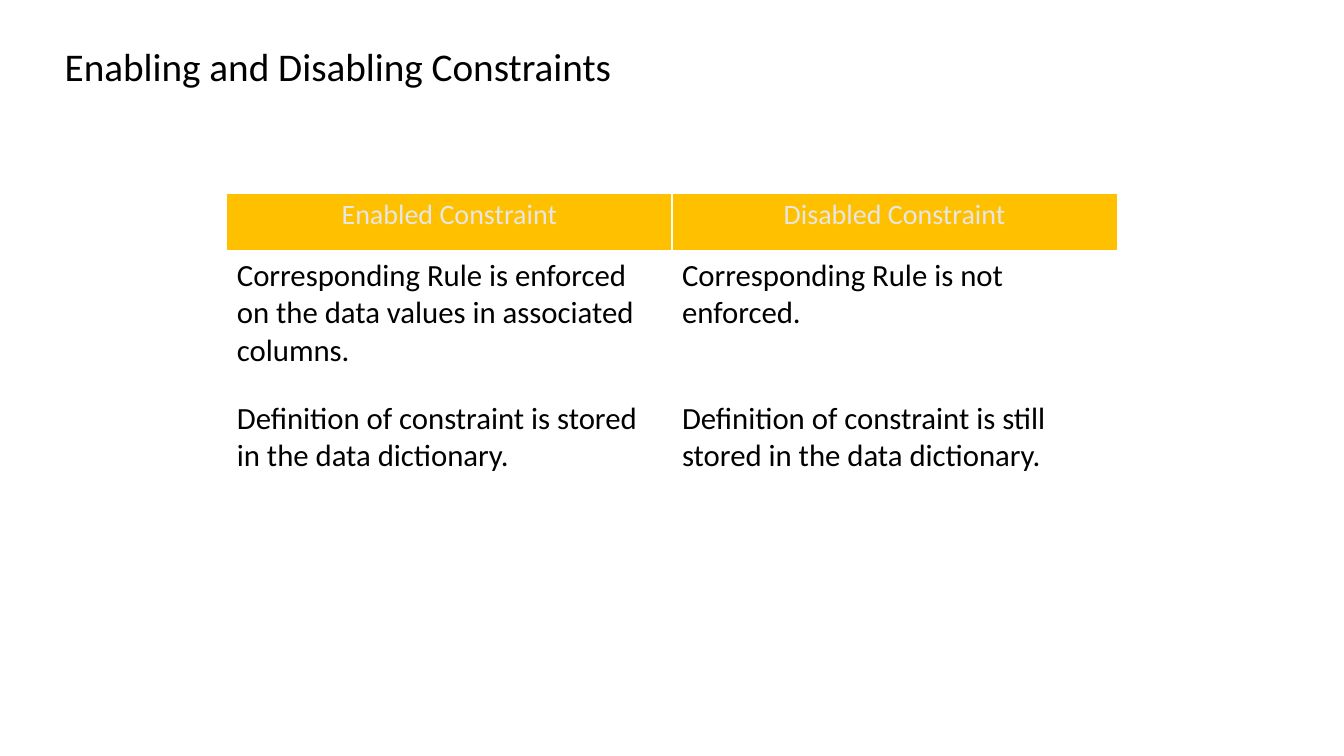
from lxml.etree import SubElement, Element
from pptx import Presentation
from pptx.dml.color import RGBColor
from pptx.enum.text import MSO_ANCHOR, PP_ALIGN
from pptx.oxml.ns import qn
from pptx.util import Inches, Pt

UNIT = Inches(1 / 12)  # the page is a grid of 160 columns by 90 rows
TITLE_ONLY = 5
COLUMN_WIDTH = 53
ROW_HEIGHTS = [7, 17, 17]
CONSTRAINT_ROWS = [
    ["Enabled Constraint", "Disabled Constraint"],
    ["Corresponding Rule is enforced on the data values in associated columns.",
     "Corresponding Rule is not enforced."],
    ["Definition of constraint is stored in the data dictionary.",
     "Definition of constraint is still stored in the data dictionary."],
]


def color(code):
    """Turn a hex string into a colour."""
    return RGBColor.from_string(code)


def grid(*counts):
    """Turn counts of grid units into lengths."""
    return [round(count * UNIT) for count in counts]


class Page:
    """Holds the style and the current slide."""

    font = "Calibri"
    ink, pale, amber, white = "000000", "E7E6E6", "FFC000", "FFFFFF"

    def __init__(self, deck):
        """Add a slide that has a title only."""
        self.slide = deck.slides.add_slide(deck.slide_layouts[TITLE_ONLY])

    def set_text(self, frame, text, size, code, align=PP_ALIGN.LEFT):
        """Put one formatted paragraph into a text frame."""
        frame.text = text
        para = frame.paragraphs[0]
        para.alignment = align
        for span in para.runs:
            span.font.name, span.font.size = self.font, Pt(size)
            span.font.bold = False
            span.font.color.rgb = color(code)
        return para

    def title(self, text, *place):
        """Place and format the title placeholder."""
        box = self.slide.shapes.title
        box.left, box.top, box.width, box.height = grid(*place)
        box.text_frame.vertical_anchor = MSO_ANCHOR.MIDDLE
        self.set_text(box.text_frame, text, 28, self.ink).line_spacing = 0.9

    def borders(self, cell, bottom):
        """Draw white cell borders, with the bottom width given in points."""
        properties = cell._tc.get_or_add_tcPr()
        for index, (side, width) in enumerate(
                [("L", 1), ("R", 1), ("T", 1), ("B", bottom)]):
            line = Element(qn("a:ln" + side), w=str(Pt(width)))
            fill = SubElement(line, qn("a:solidFill"))
            SubElement(fill, qn("a:srgbClr"), val=self.white)
            properties.insert(index, line)

    def table(self, rows, left, top, column_width, heights):
        """Add a table with an amber header row and plain body rows."""
        columns = len(rows[0])
        place = grid(left, top, column_width * columns, sum(heights))
        table = self.slide.shapes.add_table(len(rows), columns, *place).table
        table.first_row = table.horz_banding = False
        for column in table.columns:
            column.width = grid(column_width)[0]
        for number, (texts, height) in enumerate(zip(rows, heights)):
            table.rows[number].height = grid(height)[0]
            for cell, text in zip(table.rows[number].cells, texts):
                if number == 0:
                    cell.fill.solid()
                    cell.fill.fore_color.rgb = color(self.amber)
                    self.set_text(cell.text_frame, text, 20, self.pale, PP_ALIGN.CENTER)
                else:
                    cell.fill.background()
                    self.set_text(cell.text_frame, text, 22, self.ink)
                self.borders(cell, bottom=3 if number == 0 else 1)


deck = Presentation()
deck.slide_width, deck.slide_height = grid(160, 90)
page = Page(deck)
page.title("Enabling and Disabling Constraints", 6.5, 4.3, 146.8, 7.9)
page.table(CONSTRAINT_ROWS, 27, 23, COLUMN_WIDTH, ROW_HEIGHTS)
deck.save("out.pptx")
